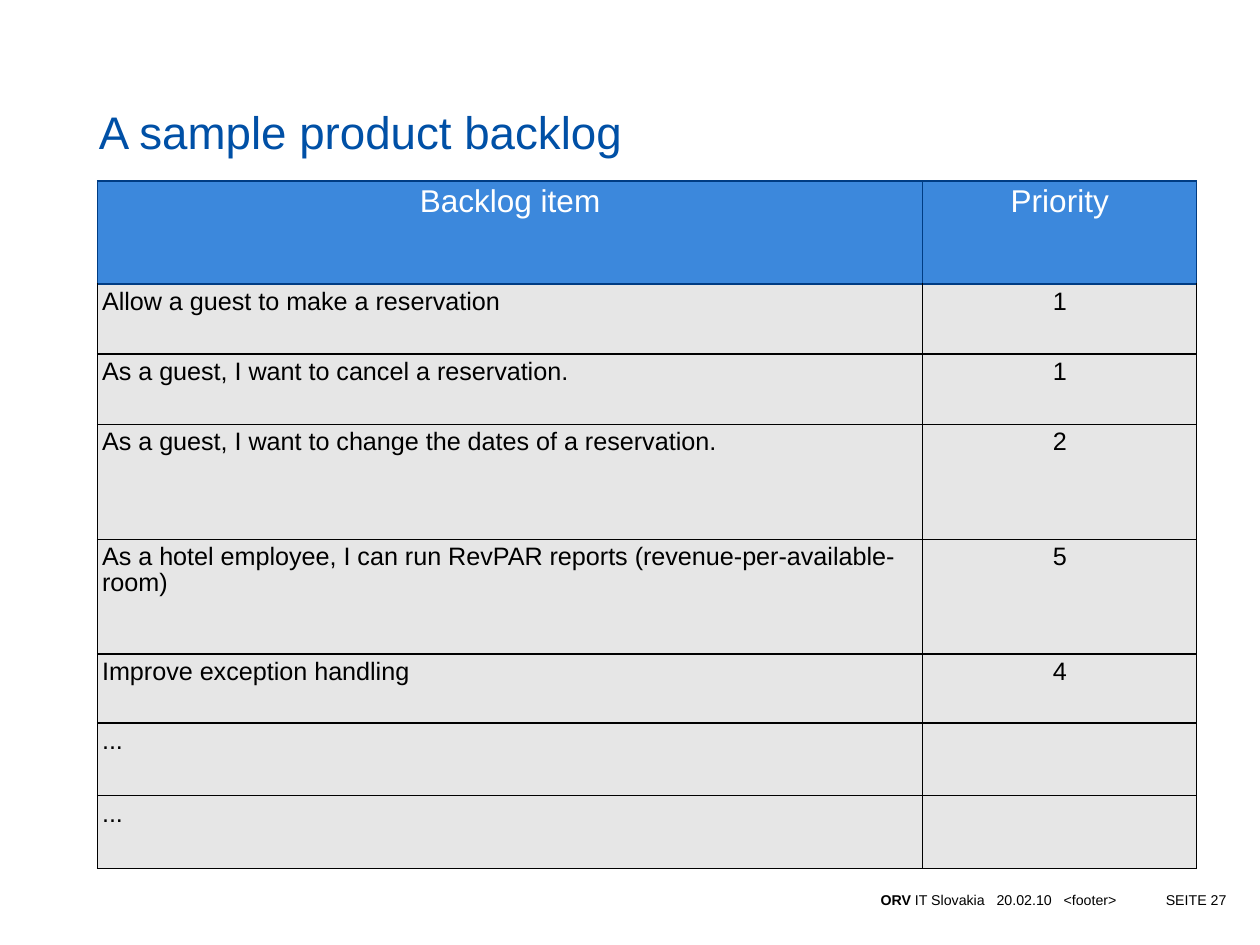
import dataclasses

import lxml.etree
import pptx
import pptx.dml.color
import pptx.enum.text
import pptx.oxml.ns
import pptx.util

SCALE = 1270  # EMU per px, 720 px to the inch
ALIGN = pptx.enum.text.PP_ALIGN
ANCHOR = pptx.enum.text.MSO_ANCHOR


@dataclasses.dataclass(frozen=True)
class Theme:
    font: str = "Arial"
    blue: str = "0050A6"
    head: str = "3C88DC"
    edge: str = "003C83"
    body: str = "E6E6E6"
    white: str = "FFFFFF"
    black: str = "000000"
    title: int = 29
    label: int = 20
    item: int = 16
    foot: int = 9
    line: float = 0.96


THEME = Theme()

COLS = [5240, 1740]
ROWS = [
    (654, "Backlog item", "Priority"),
    (446, "Allow a guest to make a reservation", "1"),
    (446, "As a guest, I want to cancel a reservation.", "1"),
    (730, "As a guest, I want to change the dates of a reservation.", "2"),
    (730, "As a hotel employee, I can run RevPAR reports "
          "(revenue-per-available-room)", "5"),
    (438, "Improve exception handling", "4"),
    (461, "...", ""),
    (461, "...", ""),
]


def px(n):
    return pptx.util.Emu(n * SCALE)


def rgb(code):
    return pptx.dml.color.RGBColor.from_string(code)


def style(para, size, color, align=ALIGN.LEFT, lead=1.0, after=0):
    para.alignment = align
    para.line_spacing = lead
    para.space_after = pptx.util.Pt(after)
    para.font.name = THEME.font
    para.font.size = pptx.util.Pt(size)
    para.font.color.rgb = rgb(color)


def add_text(slide, box, runs, size, color, anchor, pad=0, **form):
    """Add a one-paragraph text box; runs are (text, bold) pairs."""
    frame = slide.shapes.add_textbox(*map(px, box)).text_frame
    frame.word_wrap = True
    frame.vertical_anchor = anchor
    frame.margin_left = frame.margin_right = px(pad)
    frame.margin_top = frame.margin_bottom = px(pad)
    para = frame.paragraphs[0]
    for text, bold in runs:
        run = para.add_run()
        run.text = text
        if bold:
            run.font.bold = True
    style(para, size, color, **form)


def add_edge(cell, side, color):
    props = cell._tc.get_or_add_tcPr()
    qn = pptx.oxml.ns.qn
    line = lxml.etree.SubElement(props, qn(f"a:ln{side}"),
                                 w=str(pptx.util.Pt(THEME.line)))
    fill = lxml.etree.SubElement(line, qn("a:solidFill"))
    lxml.etree.SubElement(fill, qn("a:srgbClr"), val=color)


def fill_cell(cell, text, row, col):
    head = row == 0
    cell.margin_left = cell.margin_right = px(29)
    cell.margin_top = cell.margin_bottom = px(36)
    # Borders come before the fill in the cell's XML
    for side in "LRTB":
        blue = head or (row == 1 and side == "T")
        add_edge(cell, side, THEME.edge if blue else THEME.black)
    cell.fill.solid()
    cell.fill.fore_color.rgb = rgb(THEME.head if head else THEME.body)
    cell.text = text
    style(cell.text_frame.paragraphs[0],
          THEME.label if head else THEME.item,
          THEME.white if head else THEME.black,
          align=ALIGN.CENTER if head or col else ALIGN.LEFT,
          lead=0.93, after=5 if head else 4)


def add_grid(slide, left, top):
    high = sum(row[0] for row in ROWS)
    grid = slide.shapes.add_table(len(ROWS), len(COLS), px(left), px(top),
                                  px(sum(COLS)), px(high)).table
    grid.first_row = grid.horz_banding = False
    for col, wide in zip(grid.columns, COLS):
        col.width = px(wide)
    for r, (tall, *texts) in enumerate(ROWS):
        grid.rows[r].height = px(tall)
        for c, text in enumerate(texts):
            fill_cell(grid.cell(r, c), text, r, c)


def main():
    deck = pptx.Presentation()
    deck.slide_width = px(8000)
    deck.slide_height = px(6002)
    slide = deck.slides.add_slide(deck.slide_layouts[6])

    # Footer
    add_text(slide, (2490, 5520, 4598, 250),
             [("ORV ", True), ("IT Slovakia   20.02.10   <footer>", False)],
             THEME.foot, THEME.black, ANCHOR.BOTTOM, align=ALIGN.RIGHT)
    add_text(slide, (7402, 5520, 504, 250), [("SEITE 27", False)],
             THEME.foot, THEME.black, ANCHOR.BOTTOM)

    # Title
    add_text(slide, (598, 479, 6804, 756),
             [("A sample product backlog", False)],
             THEME.title, THEME.blue, ANCHOR.MIDDLE, pad=29, lead=0.9)

    # Backlog
    add_grid(slide, 619, 1149)

    deck.save("out.pptx")


if __name__ == "__main__":
    main()
